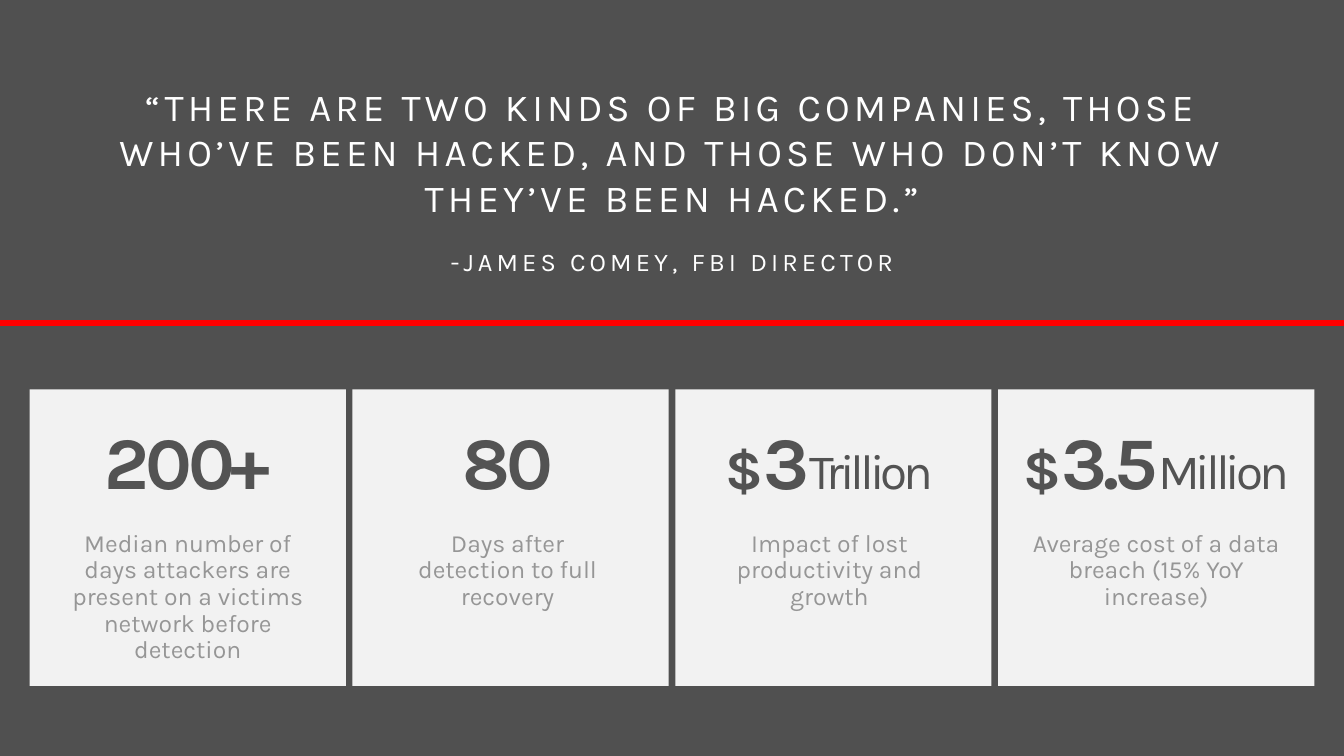
from dataclasses import dataclass

from pptx import Presentation
from pptx import util as u
from pptx.dml.color import RGBColor
from pptx.enum import shapes, text

WIDTH, HEIGHT = 13.6, 7.65
MARGIN, CARD_W, CARD_H = 0.3, 3.2, 3.0
CARD_TOP, NUMBER_TOP, CAPTION_TOP = 3.94, 4.15, 5.21
GAP = (WIDTH - 2 * MARGIN - 4 * CARD_W) / 3
GREY, INK, PALE, MUTED, WHITE, RED = "505050", "535353", "F2F2F2", "969696", "FFFFFF", "FF0000"


@dataclass
class Card:
    number: str
    caption: str
    sign: str = ""
    unit: str = ""
    caption_w: float = 2.98
    nudge: float = 0


CARDS = [
    Card("200+", "Median number of days attackers are present on a victims network before detection"),
    Card("80", "Days after detection to full recovery", caption_w=2.64, nudge=-0.03),
    Card("3", "Impact of lost productivity and growth", "$", "Trillion", nudge=-0.04),
    Card("3.5", "Average cost of a data breach (15% YoY increase)", "$", "Million"),
]


def rgb(value: str) -> RGBColor:
    return RGBColor.from_string(value)


def add_rect(s, left: float, top: float, width: float, height: float, color: str):
    sp = s.shapes.add_shape(shapes.MSO_SHAPE.RECTANGLE, *map(u.Inches, (left, top, width, height)))
    sp.shadow.inherit = False
    sp.fill.solid()
    sp.fill.fore_color.rgb = rgb(color)
    sp.line.fill.background()
    return sp


def add_box(s, left: float, top: float, width: float, height: float,
            side: float = 0, above: float = 0.16, below: float = 0.16):
    tf = s.shapes.add_textbox(*map(u.Inches, (left, top, width, height))).text_frame
    tf.word_wrap = True
    tf.margin_left = tf.margin_right = u.Inches(side)
    tf.margin_top, tf.margin_bottom = u.Inches(above), u.Inches(below)
    return tf


def add_run(p, words: str, *, size: float, color: str, bold: bool = False, tracking: float = 0) -> None:
    r = p.add_run()
    r.text = words
    r.font.name, r.font.size, r.font.bold = "Karla", u.Pt(size), bold
    r.font.color.rgb = rgb(color)
    if tracking:
        r._r.get_or_add_rPr().set("spc", str(int(tracking * 100)))


def format_card_text(p) -> None:
    p.alignment = text.PP_ALIGN.CENTER
    p.line_spacing = 0.9
    p.space_after = u.Pt(6)


def add_card(s, card: Card, column: int) -> None:
    left = MARGIN + column * (CARD_W + GAP)
    add_rect(s, left, CARD_TOP, CARD_W, CARD_H, PALE)

    caption_left = left + (CARD_W - card.caption_w) / 2 + card.nudge
    p = add_box(s, caption_left, CAPTION_TOP, card.caption_w, 1.72, side=0.2).paragraphs[0]
    format_card_text(p)
    add_run(p, card.caption, size=18, color=MUTED)

    p = add_box(s, left + card.nudge, NUMBER_TOP, CARD_W, 1.16).paragraphs[0]
    format_card_text(p)
    for words, size, bold in ((card.sign, 40, True), (card.number, 54, True), (card.unit, 36, False)):
        if words:
            add_run(p, words, size=size, color=INK, bold=bold, tracking=-3)


def add_quote(s) -> None:
    tf = add_box(s, 1.05, 0.74, 11.5, 1.97, side=0.15, above=0.1, below=0.15)
    p = tf.paragraphs[0]
    p.alignment = text.PP_ALIGN.CENTER
    add_run(p, "“THERE ARE TWO KINDS OF BIG COMPANIES, THOSE WHO’VE BEEN HACKED, "
               "AND THOSE WHO DON’T KNOW THEY’VE BEEN HACKED.”", size=27.8, color=WHITE, tracking=3)
    p = tf.add_paragraph()
    p.alignment = text.PP_ALIGN.CENTER
    p.space_before = u.Pt(18.4)
    add_run(p, "-JAMES COMEY, FBI DIRECTOR", size=18.5, color=WHITE, tracking=3)


def main() -> None:
    prs = Presentation()
    prs.slide_width, prs.slide_height = u.Inches(WIDTH), u.Inches(HEIGHT)
    s = prs.slides.add_slide(prs.slide_layouts[6])
    s.background.fill.solid()
    s.background.fill.fore_color.rgb = rgb(GREY)

    for column, card in enumerate(CARDS):
        add_card(s, card, column)
    add_quote(s)
    divider = add_rect(s, 0, 3.24, WIDTH, 0.05, RED)
    divider.line.color.rgb = rgb(RED)
    divider.line.width = u.Pt(0.75)

    prs.save("out.pptx")


if __name__ == "__main__":
    main()
